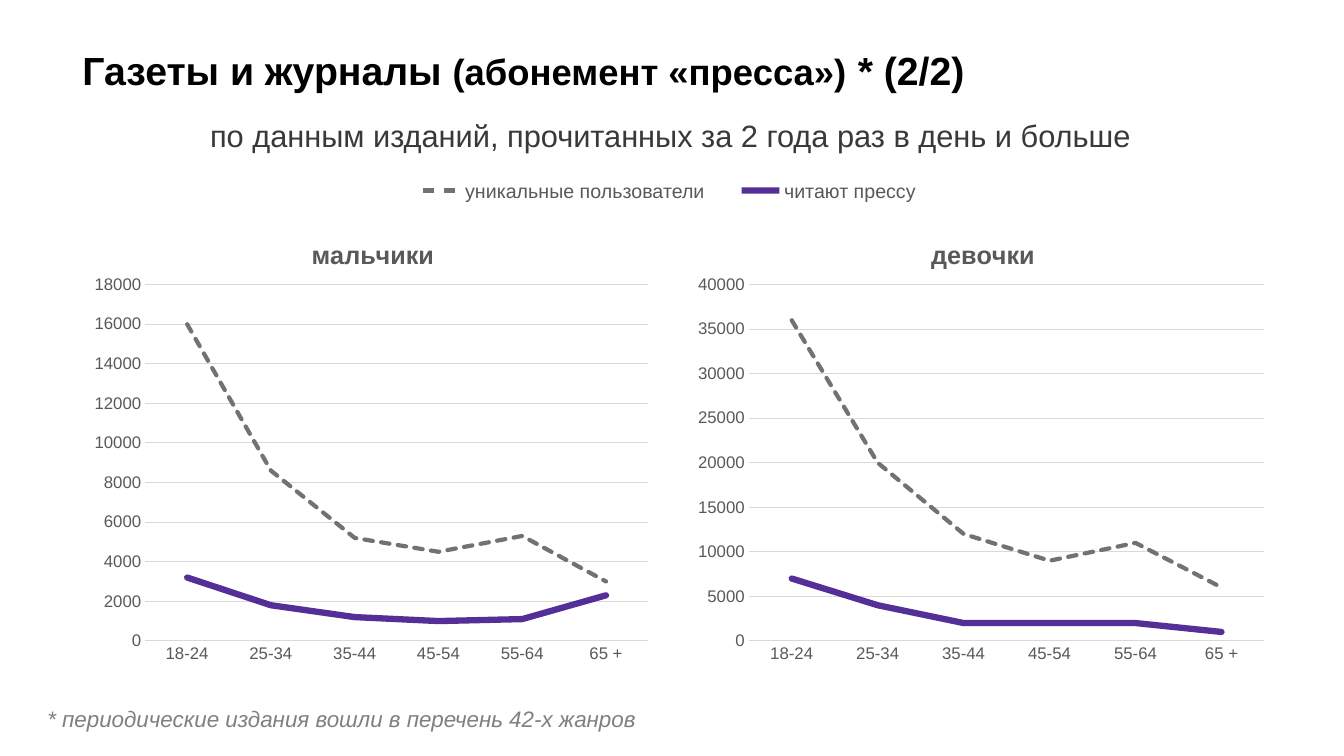
from collections import namedtuple

from lxml.etree import SubElement
from pptx import Presentation
from pptx.chart.data import CategoryChartData
from pptx.dml.color import RGBColor
from pptx.enum.chart import XL_CHART_TYPE, XL_MARKER_STYLE, XL_TICK_MARK
from pptx.enum.shapes import MSO_CONNECTOR
from pptx.enum.text import PP_ALIGN
from pptx.oxml import parse_xml
from pptx.oxml.ns import nsdecls, qn
from pptx.util import Inches, Pt

COLORS = {
    "title": "000000",
    "subtitle": "3B3838",
    "label": "595959",
    "footnote": "808080",
    "grid": "D9D9D9",
    "press": "370D86",
    "users": "767171",
}
FONT = "Arial"
AGES = ["18-24", "25-34", "35-44", "45-54", "55-64", "65 +"]
USERS, PRESS = "уникальные пользователи", "читают прессу"
Box = namedtuple("Box", "left top width height")

deck = Presentation()
deck.slide_width, deck.slide_height = Inches(13.33), Inches(7.5)
COLUMN, ROW = deck.slide_width / 100, deck.slide_height / 100
page = deck.slides.add_slide(deck.slide_layouts[6])


def grid_box(left, top, width, height):
    return Box(int(left * COLUMN), int(top * ROW), int(width * COLUMN), int(height * ROW))


def inner_box(box, left, top, width, height):
    return Box(
        int(box.left + left * box.width),
        int(box.top + top * box.height),
        int(width * box.width),
        int(height * box.height),
    )


def style_font(font, size, color, bold=False, italic=False):
    font.name, font.size = FONT, Pt(size)
    font.bold, font.italic = bold, italic
    font.color.rgb = RGBColor.from_string(COLORS[color])


def add_span(para, text, **style):
    span = para.add_run()
    span.text = text
    style_font(span.font, **style)


def add_text(box, spans, align=PP_ALIGN.LEFT, **style):
    frame = page.shapes.add_textbox(*box).text_frame
    frame.word_wrap = True
    para = frame.paragraphs[0]
    para.alignment = align
    for text, size in spans:
        add_span(para, text, size=size, **style)


def style_line(line, color, width, alpha=None, dash=None, rounded=False):
    line.width = Pt(width)
    line.color.rgb = RGBColor.from_string(COLORS[color])
    outline = line._get_or_add_ln()
    if alpha:
        tint = outline.find(qn("a:solidFill")).find(qn("a:srgbClr"))
        SubElement(tint, qn("a:alpha")).set("val", str(alpha * 1000))
    if dash:
        SubElement(outline, qn("a:prstDash")).set("val", dash)
    if rounded:
        outline.set("cap", "rnd")
        SubElement(outline, qn("a:round"))


def set_layout(parent, position, inner=False, **shares):
    for old in parent.findall(qn("c:layout")):
        parent.remove(old)
    target = '<c:layoutTarget val="inner"/>' if inner else ""
    modes = "".join(f'<c:{axis}Mode val="edge"/>' for axis in "xy")
    sizes = "".join(f'<c:{name} val="{share}"/>' for name, share in shares.items())
    parent.insert(position, parse_xml(
        f"<c:layout {nsdecls('c')}><c:manualLayout>{target}{modes}{sizes}"
        "</c:manualLayout></c:layout>"
    ))


def add_legend(box):
    keys = [
        (0.01, 0.03, "users", 3, None),
        (0.05, 0.07, "users", 3, None),
        (0.6, 0.67, "press", 4.5, 85),
    ]
    height = int(box.top + 0.47 * box.height)
    for start, end, color, width, alpha in keys:
        key = page.shapes.add_connector(
            MSO_CONNECTOR.STRAIGHT,
            int(box.left + start * box.width), height,
            int(box.left + end * box.width), height,
        )
        style_line(key.line, color, width, alpha)
        SubElement(key._element.spPr, qn("a:effectLst"))
    for text, left, width in [(USERS, 0.07, 0.5), (PRESS, 0.66, 0.34)]:
        add_text(inner_box(box, left, 0, width, 1), [(text, 14)], color="label")


def style_axes(chart, top, step):
    for axis in (chart.category_axis, chart.value_axis):
        axis.major_tick_mark = axis.minor_tick_mark = XL_TICK_MARK.NONE
        style_font(axis.tick_labels.font, 12, "label")
    style_line(chart.category_axis.format.line, "grid", 0.75)
    values = chart.value_axis
    values.minimum_scale, values.maximum_scale, values.major_unit = 0, top, step
    values.format.line.fill.background()
    values.has_major_gridlines = True
    style_line(values.major_gridlines.format.line, "grid", 0.75)


def add_readers_chart(box, title, title_left, press, users, top, step):
    data = CategoryChartData(number_format="General")
    data.categories = AGES
    data.add_series(PRESS, press)
    data.add_series(USERS, users)
    chart = page.shapes.add_chart(XL_CHART_TYPE.LINE, *box, data).chart
    style_font(chart.font, 12, "label")
    chart.has_legend = False
    chart.has_title = True
    add_span(chart.chart_title.text_frame.paragraphs[0], title,
             size=18, color="label", bold=True)
    set_layout(chart.chart_title._element, 1, x=title_left, y=0.05)
    set_layout(chart._chartSpace.chart.plotArea, 0, inner=True,
               x=0.11, y=0.16, w=0.87, h=0.77)
    style_axes(chart, top, step)
    plot = chart.plots[0]
    plot.vary_by_categories = False
    formats = [
        dict(color="press", width=4.5, alpha=85),
        dict(color="users", width=3, dash="sysDash"),
    ]
    for series, line_format in zip(plot.series, formats):
        series.smooth = False
        series.marker.style = XL_MARKER_STYLE.NONE
        style_line(series.format.line, rounded=True, **line_format)


add_text(
    grid_box(5.4, 5.47, 70.6, 7.6),
    [("Газеты и журналы ", 28), ("(абонемент «пресса»)", 26), (" * (2/2)", 28)],
    color="title", bold=True,
)
add_text(
    grid_box(11.18, 14.8, 77.42, 6.27),
    [("по данным изданий, прочитанных за 2 года раз в день и больше", 22)],
    align=PP_ALIGN.CENTER, color="subtitle",
)
add_legend(grid_box(31.06, 23.07, 40.21, 4.53))
add_readers_chart(
    grid_box(6.08, 27.87, 42.99, 61.2), "мальчики", 0.39,
    press=[3200, 1800, 1200, 1000, 1100, 2300],
    users=[16000, 8600, 5200, 4500, 5300, 3000],
    top=18000, step=2000,
)
add_readers_chart(
    grid_box(50.86, 27.87, 44.11, 61.2), "девочки", 0.41,
    press=[7000, 4000, 2000, 2000, 2000, 1000],
    users=[36000, 20000, 12000, 9000, 11000, 6000],
    top=40000, step=5000,
)
add_text(
    grid_box(2.78, 92.67, 63.77, 4.93),
    [("* периодические издания вошли в перечень 42-х жанров", 16)],
    color="footnote", italic=True,
)
deck.save("out.pptx")
